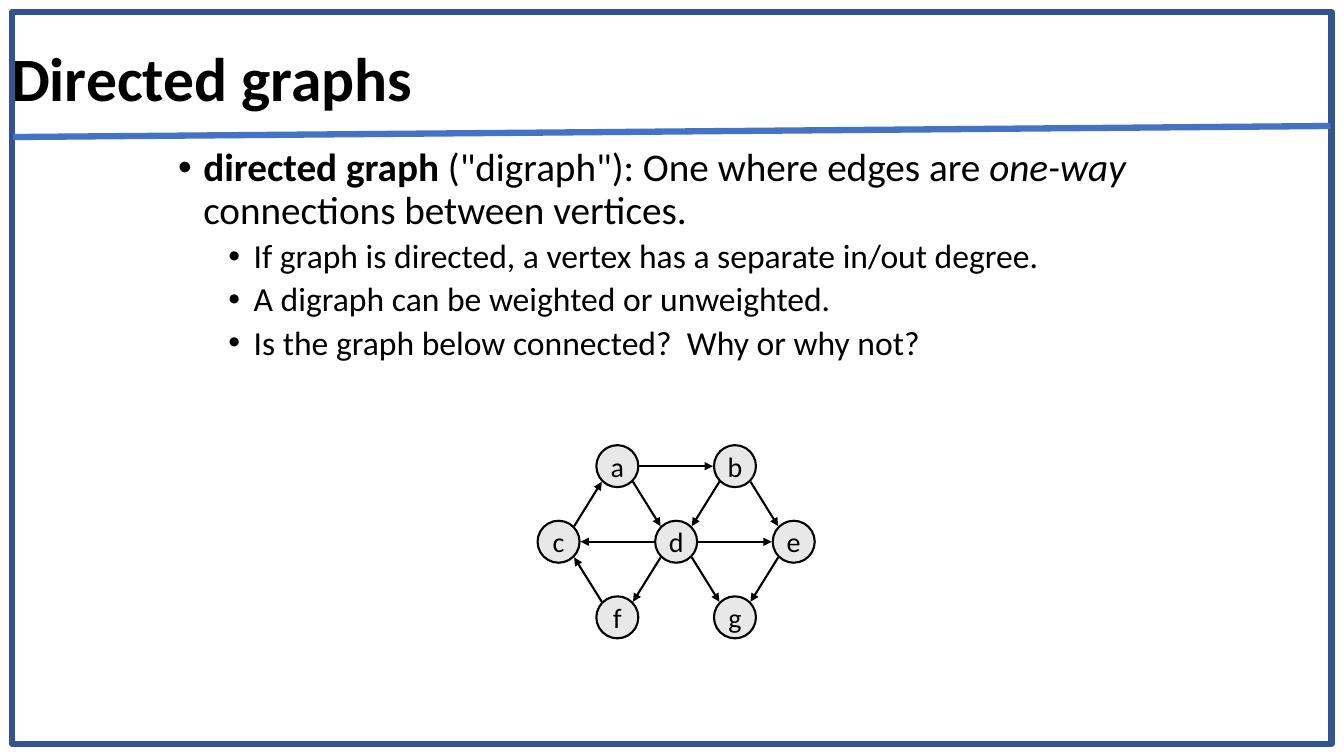
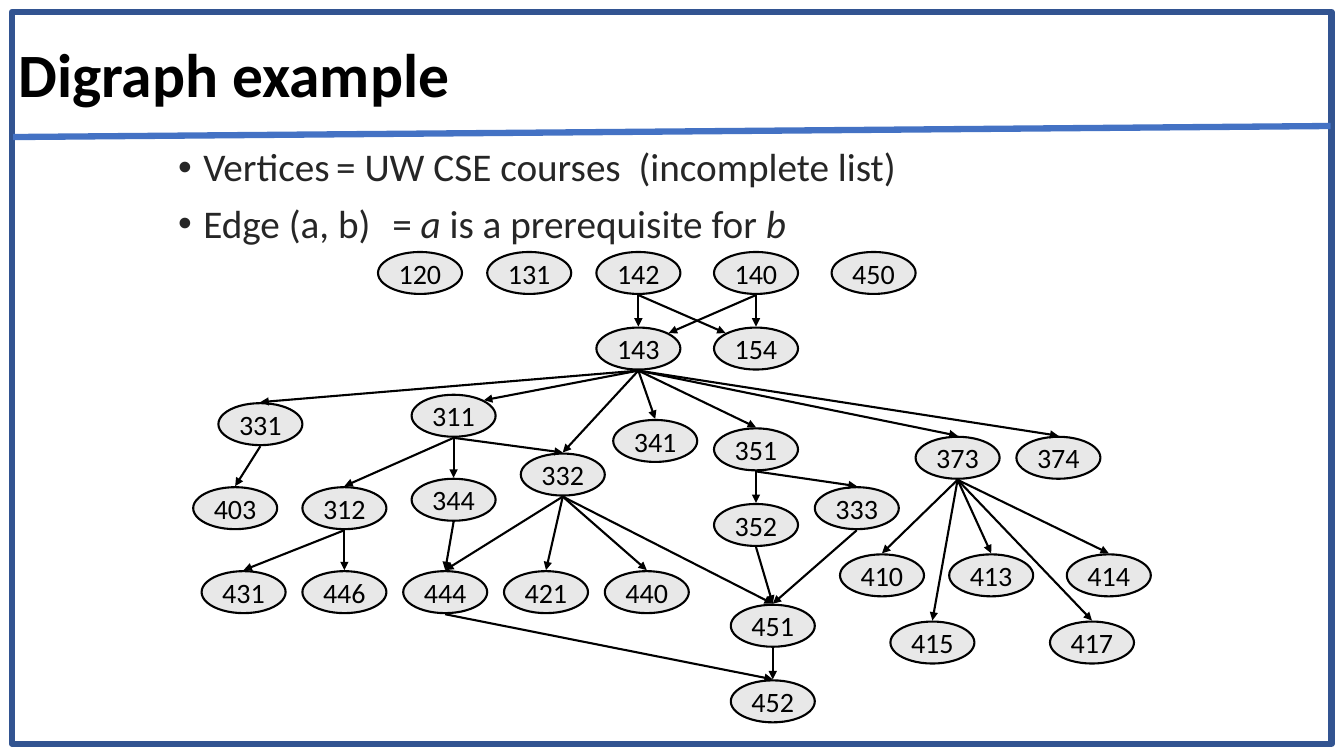
from math import hypot

from lxml import etree
from pptx import Presentation
from pptx.dml.color import RGBColor
from pptx.enum.shapes import MSO_CONNECTOR, MSO_SHAPE
from pptx.enum.text import MSO_ANCHOR, MSO_AUTO_SIZE, PP_ALIGN
from pptx.oxml.ns import qn
from pptx.util import Pt

STRAIGHT = MSO_CONNECTOR.STRAIGHT
ELLIPSE, RECTANGLE = MSO_SHAPE.OVAL, MSO_SHAPE.RECTANGLE
MIDDLE, TOP = MSO_ANCHOR.MIDDLE, MSO_ANCHOR.TOP
LEFT, CENTER = PP_ALIGN.LEFT, PP_ALIGN.CENTER
FIXED = MSO_AUTO_SIZE.NONE

FONT = "Calibri"
BLACK, DARK, NODE_FILL = "000000", "262626", "E8E8E8"
FRAME_BLUE, RULE_BLUE = "325491", "4472C4"
TITLE_SIZE = (828, 104.4)
BODY_AREA = (120, 102, 720, 438)
FRAME_AREA = (8.6, 8.6, 942.5, 522.7)
RULE_START, RULE_END = (9.4, 97.9), (950.4, 90)
NODE_HEIGHT = 30
EDGE_GAP = 0.75
TAB_STOPS = (67.5, 90, 113, 153)
LEVELS = [
    {"size": 28, "margin": 18, "before": 10},
    {"size": 24, "margin": 54, "before": 5},
]
UP, DOWN, UP_LEFT, UP_RIGHT = (0, -1), (0, 1), (-1, -1), (1, -1)

SLIDES = [
    {
        "title": "Directed graphs",
        "title_at": (0.7, 5.8),
        "color": BLACK,
        "tabs": (),
        "list": [
            (0, [("directed graph ", {"bold": True}),
                 ("(\"digraph\"): One where edges are ", {}),
                 ("one-way", {"italic": True}),
                 (" connections between vertices.", {})]),
            (1, [("If graph is directed, a vertex has a separate in/out degree.", {})]),
            (1, [("A digraph can be weighted or unweighted.", {})]),
            (1, [("Is the graph below connected?  Why or why not?", {})]),
        ],
        "node_width": 30,
        "nodes": {
            "a": (426, 318), "b": (510, 318),
            "c": (384, 372), "d": (468, 372), "e": (552, 372),
            "f": (426, 426), "g": (510, 426),
        },
        "edges": {"a": "bd", "b": "de", "c": "a", "d": "cefg", "e": "g", "f": "c"},
        "vertical": False,
        "entries": {},
    },
    {
        "title": "Digraph example",
        "title_at": (5.8, 2.9),
        "color": DARK,
        "tabs": TAB_STOPS,
        "list": [
            (0, [("Vertices\t= UW CSE courses  (incomplete list)", {})]),
            (0, [("Edge (a, b)\t= ", {}), ("a", {"italic": True}),
                 (" is a prerequisite for ", {}), ("b", {"italic": True})]),
        ],
        "node_width": 60,
        "nodes": {
            "120": (270, 180), "131": (348, 180), "142": (426, 180),
            "140": (510, 180), "450": (594, 180),
            "143": (426, 234), "154": (510, 234),
            "331": (156, 288), "311": (294, 282), "341": (438, 300),
            "351": (510, 306), "373": (654, 312), "374": (726, 312),
            "332": (372, 324), "344": (294, 342), "403": (138, 348),
            "312": (216, 348), "333": (582, 348), "352": (510, 360),
            "410": (600, 396), "413": (678, 396), "414": (762, 396),
            "431": (144, 408), "446": (216, 408), "444": (288, 408),
            "421": (360, 408), "440": (432, 408),
            "451": (522, 432), "415": (636, 444), "417": (750, 444),
            "452": (522, 486),
        },
        "edges": {
            "142": ["143", "154"],
            "140": ["143", "154"],
            "143": ["331", "311", "332", "341", "351", "373", "374"],
            "331": ["403"],
            "311": ["312", "344", "332"],
            "351": ["352", "333"],
            "312": ["431", "446"],
            "344": ["444"],
            "332": ["444", "421", "440", "451"],
            "352": ["451"],
            "333": ["451"],
            "373": ["410", "415", "413", "414", "417"],
            "444": ["452"],
            "451": ["452"],
        },
        "vertical": True,
        "entries": {("142", "154"): UP_LEFT, ("140", "143"): UP_RIGHT,
                    ("143", "311"): UP_RIGHT},
    },
]


def color(value):
    return RGBColor.from_string(value)


def points(values):
    return [Pt(value) for value in values]


def add_text(para, text, size=20, ink=BLACK, bold=False, italic=False):
    span = para.add_run()
    span.text = text
    font = span.font
    font.name, font.size = FONT, Pt(size)
    font.bold, font.italic = bold, italic
    font.color.rgb = color(ink)


def set_frame(box, anchor, wrap=True):
    frame = box.text_frame
    frame.auto_size = FIXED
    frame.word_wrap = wrap
    frame.vertical_anchor = anchor
    return frame


def place(box, left, top, width, height):
    box.left, box.top, box.width, box.height = points((left, top, width, height))


def add_bullet(para, margin, tabs):
    props = para._p.get_or_add_pPr()
    props.set("marL", str(Pt(margin)))
    props.set("indent", str(-Pt(18)))
    etree.SubElement(props, qn("a:buFont"), typeface="Arial")
    etree.SubElement(props, qn("a:buChar"), char="•")
    if tabs:
        stops = etree.SubElement(props, qn("a:tabLst"))
        for stop in tabs:
            etree.SubElement(stops, qn("a:tab"), pos=str(Pt(stop)), algn="l")


def add_title(page, text, position):
    box = page.shapes.title
    place(box, *position, *TITLE_SIZE)
    para = set_frame(box, MIDDLE).paragraphs[0]
    para.alignment = LEFT
    para.line_spacing = 0.9
    add_text(para, text, size=44, bold=True)


def add_list(page, items, ink, tabs):
    box = page.placeholders[1]
    place(box, *BODY_AREA)
    frame = set_frame(box, TOP)
    for index, (level, spans) in enumerate(items):
        para = frame.add_paragraph() if index else frame.paragraphs[0]
        style = LEVELS[level]
        para.level = level
        add_bullet(para, style["margin"], tabs)
        para.line_spacing = 0.9
        para.space_before = Pt(style["before"] if index else 0)
        for text, emphasis in spans:
            add_text(para, text, size=style["size"], ink=ink, **emphasis)


def add_outline(page, kind, area, ink, weight, fill=None):
    shape = page.shapes.add_shape(kind, *points(area))
    shape.shadow.inherit = False
    shape.line.color.rgb = color(ink)
    shape.line.width = Pt(weight)
    if fill:
        shape.fill.solid()
        shape.fill.fore_color.rgb = color(fill)
    else:
        shape.fill.background()
    return shape


def add_line(page, start, end, ink, weight, arrow=False):
    line = page.shapes.add_connector(STRAIGHT, *points((*start, *end)))
    line.line.color.rgb = color(ink)
    line.line.width = Pt(weight)
    if arrow:
        etree.SubElement(line.line._get_or_add_ln(), qn("a:tailEnd"), type="triangle")
    etree.SubElement(line._element.spPr, qn("a:effectLst"))


def sign(value):
    return (value > 0) - (value < 0)


def rim_point(corner, width, side):
    across, down = side
    length = hypot(across, down)
    return (corner[0] + width / 2 + across / length * (width / 2 + EDGE_GAP),
            corner[1] + NODE_HEIGHT / 2 + down / length * (NODE_HEIGHT / 2 + EDGE_GAP))


def add_graph(page, content):
    nodes, width = content["nodes"], content["node_width"]
    for name, corner in nodes.items():
        node = add_outline(page, ELLIPSE, (*corner, width, NODE_HEIGHT),
                           BLACK, 1.5, NODE_FILL)
        para = set_frame(node, MIDDLE, wrap=False).paragraphs[0]
        para.alignment = CENTER
        add_text(para, name)
    for source, targets in content["edges"].items():
        for target in targets:
            start, end = nodes[source], nodes[target]
            if content["vertical"]:
                leave, enter = DOWN, content["entries"].get((source, target), UP)
            else:
                leave = sign(end[0] - start[0]), sign(end[1] - start[1])
                enter = -leave[0], -leave[1]
            add_line(page, rim_point(start, width, leave),
                     rim_point(end, width, enter), BLACK, 1.5, arrow=True)


def add_border(page):
    add_outline(page, RECTANGLE, FRAME_AREA, FRAME_BLUE, 4.5)
    add_line(page, RULE_START, RULE_END, RULE_BLUE, 4.5)


def main():
    deck = Presentation()
    deck.slide_width, deck.slide_height = Pt(960), Pt(540)
    for content in SLIDES:
        page = deck.slides.add_slide(deck.slide_layouts[1])
        add_title(page, content["title"], content["title_at"])
        add_list(page, content["list"], content["color"], content["tabs"])
        add_graph(page, content)
        add_border(page)
    deck.save("out.pptx")


if __name__ == "__main__":
    main()
